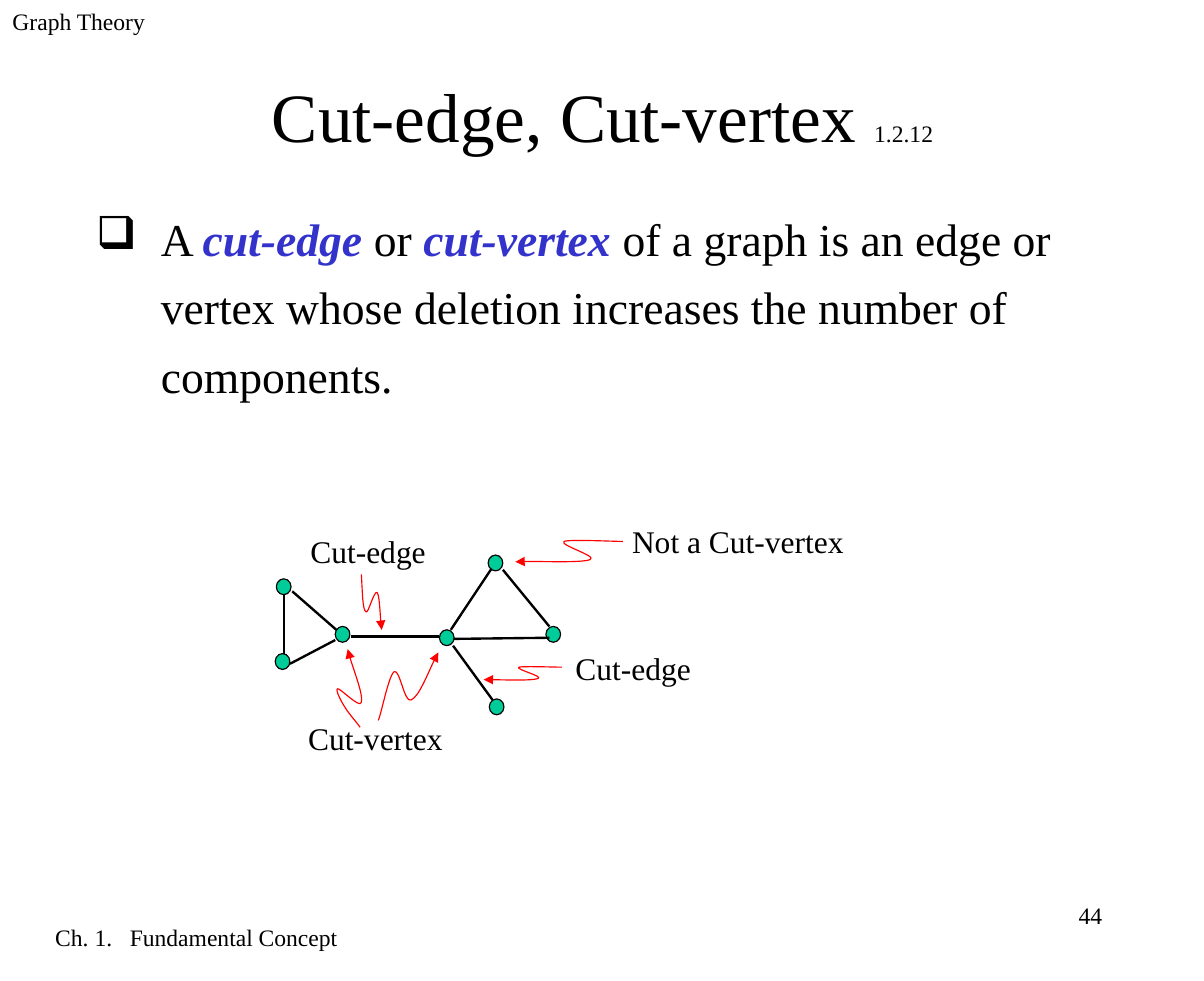
from lxml.etree import SubElement
from pptx import Presentation
from pptx.dml.color import RGBColor
from pptx.enum.shapes import MSO_CONNECTOR, MSO_SHAPE
from pptx.enum.text import MSO_ANCHOR, PP_ALIGN
from pptx.oxml.ns import qn
from pptx.util import Inches, Pt

COLORS = {"text": "000000", "term": "3333CC", "vertex": "00CC99", "arrow": "FF0000"}
FONT = "Times New Roman"


def rgb(name):
    return RGBColor.from_string(COLORS[name])


def add_text(text, at, size=20, align=PP_ALIGN.LEFT, anchor=MSO_ANCHOR.TOP, before=0):
    """Add a text box; text is a string or a list of (string, run format) pairs."""
    tf = s.shapes.add_textbox(*map(Inches, at)).text_frame
    tf.word_wrap = True
    tf.vertical_anchor = anchor
    tf.margin_left = tf.margin_right = Inches(0.11)
    tf.margin_top = tf.margin_bottom = Inches(0.06)
    p = tf.paragraphs[0]
    p.alignment = align
    p.space_before = Pt(before)
    for words, fmt in [(text, {})] if isinstance(text, str) else text:
        r = p.add_run()
        r.text = words
        r.font.name = FONT
        r.font.size = Pt(fmt.get("size", size))
        r.font.bold = r.font.italic = fmt.get("strong", False)
        r.font.color.rgb = rgb(fmt.get("color", "text"))
    return p


prs = Presentation()
prs.slide_width, prs.slide_height = Inches(10.63), Inches(8.66)
s = prs.slides.add_slide(prs.slide_layouts[6])

# Header, footer and page number
add_text("Graph Theory", (0, 0, 2.22, 0.58), size=15)
add_text("Ch. 1.   Fundamental Concept", (0, 8.09, 3.47, 0.58), size=15, align=PP_ALIGN.CENTER)
add_text("44", (7.62, 7.89, 2.22, 0.58), size=15, align=PP_ALIGN.RIGHT)

# Title and definition
add_text([("Cut-edge, Cut-vertex ", {}), ("1.2.12", {"size": 15})],
         (0.8, 0.39, 9.04, 1.25), size=44, align=PP_ALIGN.CENTER, anchor=MSO_ANCHOR.MIDDLE)
term = {"color": "term", "strong": True}
p = add_text([("A ", {}), ("cut-edge", term), (" or ", {}), ("cut-vertex ", term),
              ("of a graph is an edge or vertex whose deletion increases "
               "the number of components.", {})],
             (0.74, 1.68, 9.04, 2.42), size=29, before=14.5)
p.line_spacing = 1.25
pPr = p._p.get_or_add_pPr()
pPr.set("marL", str(Inches(0.57)))
pPr.set("indent", str(Inches(-0.57)))
SubElement(SubElement(pPr, qn("a:buClr")), qn("a:srgbClr"), val=COLORS["text"])
SubElement(pPr, qn("a:buChar"), char="❑")

# Vertices of the graph
VERTICES = [(2.44, 5.11), (2.43, 5.77), (2.96, 5.53), (3.88, 5.56),
            (4.31, 4.9), (4.82, 5.53), (4.32, 6.17)]
for x, y in VERTICES:
    sp = s.shapes.add_shape(MSO_SHAPE.OVAL, Inches(x), Inches(y), Inches(0.13), Inches(0.14))
    sp.shadow.inherit = False
    sp.fill.solid()
    sp.fill.fore_color.rgb = rgb("vertex")
    sp.line.color.rgb = rgb("text")
    sp.line.width = Pt(0.75)

# Edges of the graph
EDGES = [(2.51, 5.24, 2.51, 5.77), (2.58, 5.22, 2.97, 5.56), (2.56, 5.86, 2.96, 5.65),
         (3.1, 5.62, 3.88, 5.62), (4.34, 5.02, 3.98, 5.56), (4, 5.7, 4.35, 6.18),
         (4.44, 5.03, 4.85, 5.53), (4.01, 5.64, 4.85, 5.63)]
for ends in EDGES:
    edge = s.shapes.add_connector(MSO_CONNECTOR.STRAIGHT, *map(Inches, ends))
    edge.line.color.rgb = rgb("text")
    edge.line.width = Pt(1.5)
    SubElement(edge._element.spPr, qn("a:effectLst"))

# Labels
LABELS = [("Not a Cut-vertex", 5.47, 4.55, 2.18), ("Cut-edge", 2.63, 4.64, 1.67),
          ("Cut-edge", 4.97, 5.67, 1.67), ("Cut-vertex", 2.61, 6.29, 1.67)]
for label, x, y, width in LABELS:
    add_text(label, (x, y, width, 0.44), before=12.5)

# Wavy arrows: a start point, then three points for each Bézier segment
ARROWS = [
    [(3.19, 5.07), (3.2, 5.22), (3.2, 5.38), (3.23, 5.4), (3.25, 5.43), (3.3, 5.21),
     (3.33, 5.23), (3.35, 5.26), (3.36, 5.51), (3.37, 5.56)],
    [(4.96, 5.89), (4.9, 5.89), (4.62, 5.88), (4.58, 5.89), (4.55, 5.91), (4.8, 5.97),
     (4.75, 5.99), (4.7, 6.01), (4.37, 6), (4.27, 6)],
    [(3.18, 6.42), (3.16, 6.39), (3.08, 6.3), (3.05, 6.25), (3.01, 6.19), (2.96, 6.09),
     (2.98, 6.08), (3, 6.07), (3.18, 6.26), (3.19, 6.2), (3.21, 6.14), (3.09, 5.83),
     (3.07, 5.73)],
    [(3.34, 6.36), (3.37, 6.29), (3.43, 5.97), (3.48, 5.93), (3.53, 5.9), (3.57, 6.21),
     (3.63, 6.18), (3.7, 6.15), (3.82, 5.84), (3.87, 5.76)],
    [(5.5, 4.78), (5.41, 4.78), (5.03, 4.76), (4.98, 4.78), (4.93, 4.81), (5.28, 4.91),
     (5.21, 4.94), (5.14, 4.97), (4.69, 4.95), (4.55, 4.96)],
]
for start, *points in ARROWS:
    builder = s.shapes.build_freeform(*start, scale=Inches(1) / 1.0)
    builder = s.shapes.build_freeform(Inches(start[0]), Inches(start[1]))
    builder.add_line_segments([(Inches(x), Inches(y)) for x, y in points], close=False)
    sp = builder.convert_to_shape()
    sp.shadow.inherit = False
    sp.fill.background()
    sp.line.color.rgb = rgb("arrow")
    sp.line.width = Pt(0.75)
    SubElement(sp.line._get_or_add_ln(), qn("a:tailEnd"), type="triangle")
    outline = next(sp._element.iter(qn("a:path")))
    steps = outline.findall(qn("a:lnTo"))
    for i in range(0, len(steps), 3):
        curve = SubElement(outline, qn("a:cubicBezTo"))
        for step in steps[i:i + 3]:
            curve.append(step[0])
            outline.remove(step)

prs.save("out.pptx")
